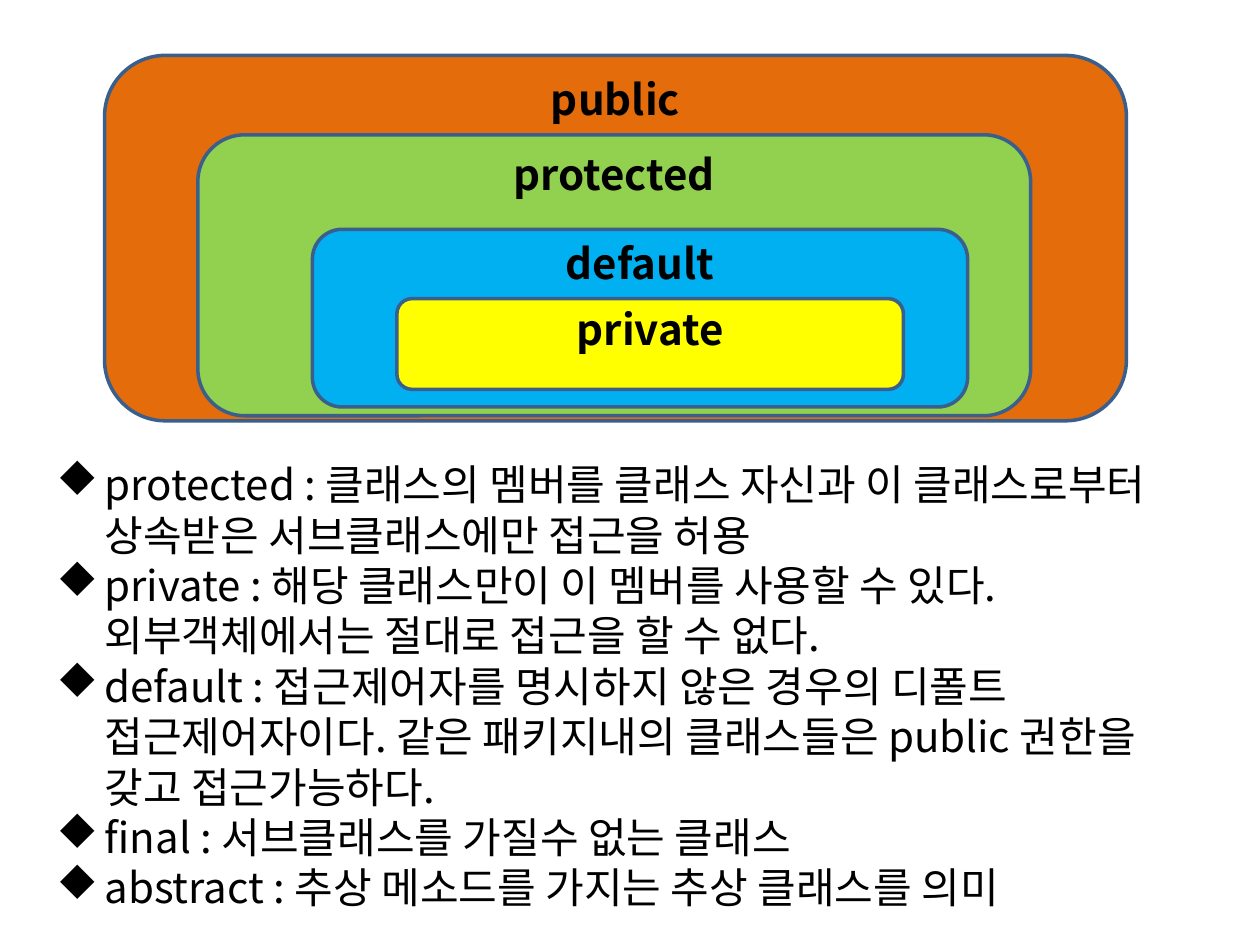
import pptx
import pptx.util
import pptx.dml.color
import pptx.enum.shapes
import pptx.enum.text
import pptx.oxml.ns
from lxml import etree

Inches = pptx.util.Inches
Pt = pptx.util.Pt
FONT = "Noto Sans CJK KR"
COLORS = {
    "public": "E46C0A",
    "protected": "92D050",
    "default": "00B0F0",
    "private": "FFFF00",
    "outline": "3A5F8C",
    "text": "000000",
}
SCOPES = [
    ("public", (0.83, 0.44, 8.11, 2.9)),
    ("protected", (1.57, 1.07, 6.61, 2.23)),
    ("default", (2.48, 1.82, 5.2, 1.41)),
    ("private", (3.15, 2.37, 4.02, 0.72)),
]
DESCRIPTIONS = [
    "protected : 클래스의 멤버를 클래스 자신과 이 클래스로부터 상속받은 서브클래스에만 접근을 허용",
    "private : 해당 클래스만이 이 멤버를 사용할 수 있다. 외부객체에서는 절대로 접근을 할 수 없다.",
    "default : 접근제어자를 명시하지 않은 경우의 디폴트 접근제어자이다. "
    "같은 패키지내의 클래스들은 public 권한을 갖고 접근가능하다.",
    "final : 서브클래스를 가질수 없는 클래스",
    "abstract : 추상 메소드를 가지는 추상 클래스를 의미",
]


def color(name):
    """Return the named colour."""
    return pptx.dml.color.RGBColor.from_string(COLORS[name])


def apply_format(target, values):
    """Set each attribute of the target from a dict."""
    for name, value in values.items():
        setattr(target, name, value)


def add_child(parent, tag, **attributes):
    """Append a DrawingML element with attributes."""
    etree.SubElement(parent, pptx.oxml.ns.qn(tag), attributes)


def write_text(paragraph, text, bold, alignment):
    """Write one formatted run into a paragraph."""
    apply_format(paragraph, {
        "alignment": alignment,
        "line_spacing": Pt(28.8),
        "space_before": Pt(0),
        "space_after": Pt(0),
    })
    run = paragraph.add_run()
    run.text = text
    apply_format(run.font, {"size": Pt(24), "bold": bold, "name": FONT})
    run.font.color.rgb = color("text")


def add_scope(slide, name, box):
    """Add one labelled rounded box to the nested diagram."""
    rounded = pptx.enum.shapes.MSO_SHAPE.ROUNDED_RECTANGLE
    shape = slide.shapes.add_shape(rounded, *map(Inches, box))
    shape.shadow.inherit = False
    shape.fill.solid()
    shape.fill.fore_color.rgb = color(name)
    shape.line.color.rgb = color("outline")
    shape.line.width = Pt(2)
    apply_format(shape.text_frame, {
        "margin_left": 0,
        "margin_top": 0,
        "margin_right": 0,
        "margin_bottom": 0,
        "vertical_anchor": pptx.enum.text.MSO_ANCHOR.TOP,
    })
    write_text(shape.text_frame.paragraphs[0], name, True, pptx.enum.text.PP_ALIGN.CENTER)


def add_bullet(paragraph):
    """Give a paragraph a hanging diamond bullet."""
    properties = paragraph._p.get_or_add_pPr()
    properties.set("marL", str(Inches(0.38)))
    properties.set("indent", str(-Inches(0.38)))
    add_child(properties, "a:buFont", typeface="Wingdings", charset="2")
    add_child(properties, "a:buChar", char="u")


def fill_list(shape, box, items):
    """Place the body placeholder and fill it with bulleted items."""
    apply_format(shape, dict(zip(("left", "top", "width", "height"), map(Inches, box))))
    frame = shape.text_frame
    apply_format(frame, {
        "word_wrap": True,
        "auto_size": pptx.enum.text.MSO_AUTO_SIZE.SHAPE_TO_FIT_TEXT,
        "margin_top": Inches(0.05),
        "vertical_anchor": pptx.enum.text.MSO_ANCHOR.TOP,
    })
    for index, item in enumerate(items):
        paragraph = frame.add_paragraph() if index else frame.paragraphs[0]
        write_text(paragraph, item, False, pptx.enum.text.PP_ALIGN.LEFT)
        add_bullet(paragraph)


def main():
    """Build the access modifier slide."""
    presentation = pptx.Presentation()
    apply_format(presentation, {"slide_width": Inches(10), "slide_height": Inches(7.5)})
    slide = presentation.slides.add_slide(presentation.slide_layouts[1])
    title = slide.shapes.title._element
    title.getparent().remove(title)
    for name, box in SCOPES:
        add_scope(slide, name, box)
    fill_list(slide.placeholders[1], (0.35, 3.59, 9.21, 3.74), DESCRIPTIONS)
    presentation.save("out.pptx")


main()
